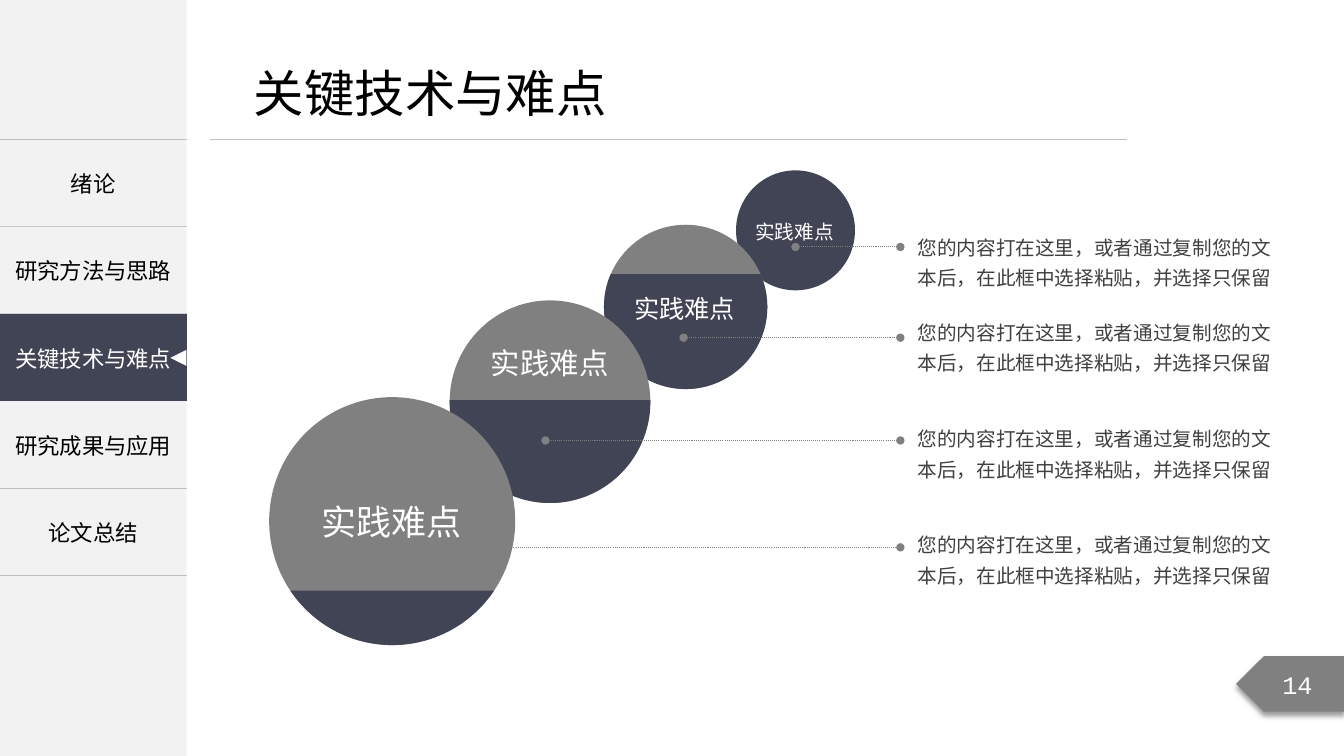
from dataclasses import dataclass
from math import asin, cos, pi, sin, tan

from lxml.etree import SubElement
from pptx import Presentation
from pptx.dml.color import RGBColor
from pptx.enum.dml import MSO_LINE
from pptx.enum.shapes import MSO_CONNECTOR, MSO_SHAPE
from pptx.enum.text import MSO_ANCHOR, MSO_AUTO_SIZE, PP_ALIGN
from pptx.oxml import parse_xml
from pptx.oxml.ns import nsdecls, qn
from pptx.util import Pt

PX = 9144  # 100 px to the inch


@dataclass(frozen=True)
class Theme:
    navy: str = "414455"
    gray: str = "808080"
    panel: str = "F2F2F2"
    rule: str = "BFBFBF"
    white: str = "FFFFFF"
    black: str = "000000"
    body: str = "404040"
    font: str = "Noto Sans CJK SC"
    number_font: str = "Courier New"
    title_size: int = 36
    menu_size: int = 16
    number_size: int = 18
    body_size: int = 14


theme = Theme()


def paint(shape, color):
    shape.shadow.inherit = False
    shape.fill.solid()
    shape.fill.fore_color.rgb = RGBColor.from_string(color)
    shape.line.fill.background()
    return shape


def write(frame, text, size, color, align=PP_ALIGN.LEFT, font=theme.font):
    frame.text = text
    paragraph = frame.paragraphs[0]
    paragraph.alignment = align
    paragraph.font.size = Pt(size)
    paragraph.font.color.rgb = RGBColor.from_string(color)
    paragraph.font.name = font
    defaults = paragraph._p.pPr.find(qn("a:defRPr"))
    SubElement(defaults, qn("a:ea")).set("typeface", font)
    return paragraph


prs = Presentation()
prs.slide_width, prs.slide_height = 1333 * PX, 750 * PX
slide = prs.slides.add_slide(prs.slide_layouts[6])
shapes = slide.shapes

# Sidebar menu
MENU_WIDTH, MENU_TOP, MENU_HEIGHT = 185, 138, 433
paint(shapes.add_shape(MSO_SHAPE.RECTANGLE, 0, 0, MENU_WIDTH * PX, 750 * PX), theme.panel)
chapters = ["绪论", "", "关键技术与难点", "研究成果与应用", "论文总结"]
current = 2
menu = shapes.add_table(len(chapters), 1, 0, MENU_TOP * PX,
                        MENU_WIDTH * PX, MENU_HEIGHT * PX).table
menu.first_row = menu.horz_banding = False
menu._tbl.tblPr.find(qn("a:tableStyleId")).text = "{2D5ABB26-0587-4C30-8999-92F81FD0307C}"
for row, chapter in enumerate(chapters):
    cell = menu.cell(row, 0)
    cell.vertical_anchor = MSO_ANCHOR.MIDDLE
    if chapter:
        write(cell.text_frame, chapter, theme.menu_size,
              theme.white if row == current else theme.black, PP_ALIGN.CENTER)
    if row == current:
        cell.fill.solid()
        cell.fill.fore_color.rgb = RGBColor.from_string(theme.navy)
    else:
        cell.fill.background()
    # The current chapter has no rule above or below it
    neighbours = [("lnB", row + 1), ("lnT", row - 1)]
    for side, neighbour in neighbours:
        if current not in (row, neighbour):
            cell._tc.tcPr.insert(0, parse_xml(
                f'<a:{side} {nsdecls("a")} w="12700"><a:solidFill>'
                f'<a:srgbClr val="{theme.rule}"/></a:solidFill></a:{side}>'))

methods = paint(shapes.add_shape(MSO_SHAPE.RECTANGLE, 0, 225 * PX,
                                 MENU_WIDTH * PX, 86 * PX), theme.panel)
methods.text_frame.vertical_anchor = MSO_ANCHOR.MIDDLE
write(methods.text_frame, "研究方法与思路", theme.menu_size, theme.black, PP_ALIGN.CENTER)

# Title and its rule
title_rule = shapes.add_connector(MSO_CONNECTOR.STRAIGHT, 208 * PX, 138 * PX, 1118 * PX, 138 * PX)
title_rule.line.color.rgb = RGBColor.from_string(theme.rule)
title_rule.line.width = Pt(0.5)
SubElement(title_rule._element.spPr, qn("a:effectLst"))
title = shapes.add_textbox(242 * PX, 57 * PX, 374 * PX, 71 * PX).text_frame
title.word_wrap = False
title.auto_size = MSO_AUTO_SIZE.SHAPE_TO_FIT_TEXT
write(title, "关键技术与难点", theme.title_size, theme.black)

# Page number tag
page_tag = paint(shapes.add_shape(MSO_SHAPE.PENTAGON, 1226 * PX, 651 * PX,
                                  108 * PX, 55 * PX), theme.gray)
page_tag._element.spPr.xfrm.set("flipH", "1")
page_tag._element.spPr.find(qn("a:effectLst")).append(parse_xml(
    f'<a:outerShdw {nsdecls("a")} blurRad="50800" dist="38100" dir="5400000" '
    f'algn="t" rotWithShape="0"><a:srgbClr val="{theme.black}">'
    '<a:alpha val="40000"/></a:srgbClr></a:outerShdw>'))
page_tag.text_frame.vertical_anchor = MSO_ANCHOR.MIDDLE
write(page_tag.text_frame, "14", theme.number_size, theme.white,
      PP_ALIGN.CENTER, theme.number_font)

# Pointer of the current chapter
pointer = paint(shapes.add_shape(MSO_SHAPE.ISOSCELES_TRIANGLE, 169 * PX, 347 * PX,
                                 16 * PX, 16 * PX), theme.white)
pointer.rotation = 270

# Circles, filled with navy below a level
circles = [  # left, top, width, height, level
    (730, 169, 118, 119, None),
    (599, 223, 162, 163, 272),
    (446, 298, 199, 201, 397),
    (267, 394, 244, 246, 586),
]
for left, top, width, height, level in circles:
    paint(shapes.add_shape(MSO_SHAPE.OVAL, left * PX, top * PX, width * PX, height * PX),
          theme.gray if level else theme.navy)
    if not level:
        continue
    rx, ry = width * PX / 2, height * PX / 2
    cx, cy = left * PX + rx, top * PX + ry
    start = asin((level * PX - cy) / ry)
    angles = [start, pi / 2, pi - start]
    if start < 0:
        angles = [start, 0, pi / 2, pi, pi - start]
    knots = [(round(cx + rx * cos(a)), round(cy + ry * sin(a))) for a in angles]
    outline = shapes.build_freeform(*knots[0])
    outline.add_line_segments(knots[1:], close=True)
    segment = paint(outline.convert_to_shape(), theme.navy)
    # Bend each side of the outline into an arc of the circle
    sides = list(segment._element.iter(qn("a:lnTo")))
    for side, a, b in zip(sides, angles, angles[1:]):
        reach = 4 / 3 * tan((b - a) / 4)
        controls = [(cos(a) - reach * sin(a), sin(a) + reach * cos(a)),
                    (cos(b) + reach * sin(b), sin(b) - reach * cos(b))]
        side.tag = qn("a:cubicBezTo")
        for position, (u, v) in enumerate(controls):
            side.insert(position, parse_xml(
                f'<a:pt {nsdecls("a")} x="{round(cx + rx * u - segment.left)}" '
                f'y="{round(cy + ry * v - segment.top)}"/>'))

# Circle labels
labels = [  # left, top, width, height, type size
    (310, 492, 158, 51, 25),
    (478, 338, 137, 44, 21),
    (620, 286, 119, 39, 18),
    (740, 213, 98, 33, 14),
]
for left, top, width, height, size in labels:
    label = shapes.add_textbox(left * PX, top * PX, width * PX, height * PX).text_frame
    label.margin_left = label.margin_right = 9 * PX
    label.margin_top = label.margin_bottom = 4 * PX
    label.word_wrap = False
    label.auto_size = MSO_AUTO_SIZE.SHAPE_TO_FIT_TEXT
    label.vertical_anchor = MSO_ANCHOR.MIDDLE
    write(label, "实践难点", size, theme.white)

# Leader lines and descriptions
notes = [  # line start, line height, text top
    (789, 245, 223),
    (678, 335, 307),
    (541, 437, 413),
    (389, 543, 518),
]
for start_x, line_y, text_top in notes:
    leader = shapes.add_connector(MSO_CONNECTOR.STRAIGHT, start_x * PX, line_y * PX,
                                  893 * PX, line_y * PX)
    leader.line.color.rgb = RGBColor.from_string(theme.gray)
    leader.line.width = Pt(0.75)
    leader.line.dash_style = MSO_LINE.ROUND_DOT
    for end in ["headEnd", "tailEnd"]:
        SubElement(leader.line._ln, qn(f"a:{end}")).set("type", "oval")
    SubElement(leader._element.spPr, qn("a:effectLst"))

    description = shapes.add_textbox(901 * PX, text_top * PX, 374 * PX, 70 * PX).text_frame
    description.margin_left = description.margin_right = 9 * PX
    description.margin_top = description.margin_bottom = 4 * PX
    description.word_wrap = True
    description.auto_size = MSO_AUTO_SIZE.SHAPE_TO_FIT_TEXT
    paragraph = write(description,
                      "您的内容打在这里，或者通过复制您的文本后，在此框中选择粘贴，并选择只保留",
                      theme.body_size, theme.body)
    paragraph.line_spacing = 1.3

prs.save("out.pptx")
